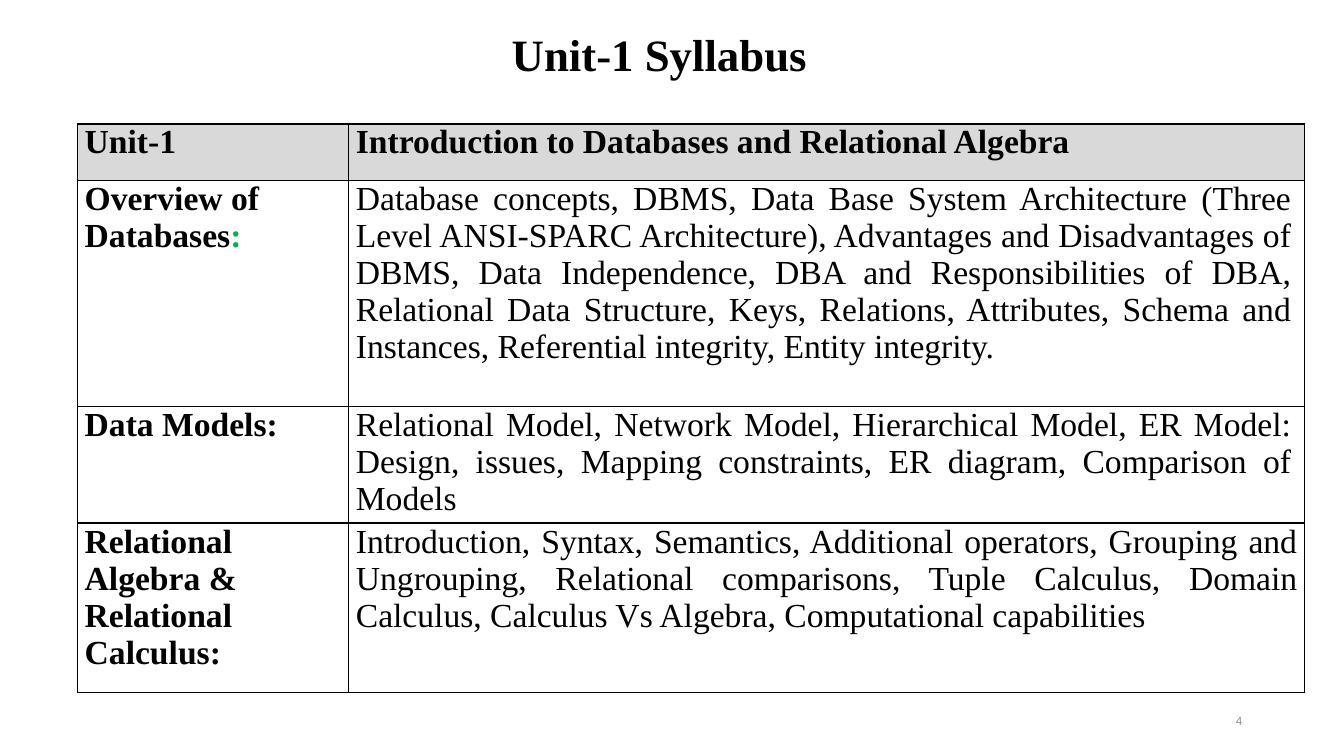
from lxml import etree
from pptx import Presentation
from pptx.dml.color import RGBColor as RGB
from pptx.enum.text import MSO_ANCHOR as Anchor, PP_ALIGN as Align
from pptx.oxml import parse_xml
from pptx.util import Inches, Pt

TITLE = "Unit-1 Syllabus"
PAGE = "4"
ROWS = [
    ("Unit-1", "Introduction to Databases and Relational Algebra"),
    ("Overview of Databases:",
     "Database concepts, DBMS, Data Base System Architecture (Three Level "
     "ANSI-SPARC Architecture), Advantages and Disadvantages of DBMS, Data "
     "Independence, DBA and Responsibilities of DBA, Relational Data Structure, "
     "Keys, Relations, Attributes, Schema and Instances, Referential integrity, "
     "Entity integrity."),
    ("Data Models:",
     "Relational Model, Network Model, Hierarchical Model, ER Model: Design, "
     "issues, Mapping constraints, ER diagram, Comparison of Models"),
    ("Relational Algebra & Relational Calculus:",
     "Introduction, Syntax, Semantics, Additional operators, Grouping and "
     "Ungrouping, Relational comparisons, Tuple Calculus, Domain Calculus, "
     "Calculus Vs Algebra, Computational capabilities"),
]
WIDTHS = [2.69, 9.48]
HEIGHTS = [0.56, 2.24, 1.16, 1.68]
INSETS = [0.07, 0.13, 0.13, 0.07]
COLORS = {"ink": "000000", "head": "D9D9D9", "mark": "00B050", "page": "8C8C8C"}
SERIF = "Times New Roman"
NS = "http://schemas.openxmlformats.org/drawingml/2006/main"


def color(name):
    return RGB.from_string(COLORS[name])


def style(para, size, face, ink, bold, align):
    para.alignment = align
    font = para.font
    font.size, font.name, font.bold = Pt(size), face, bold
    font.color.rgb = color(ink)


def border(cell):
    props = cell._tc.get_or_add_tcPr()
    for spot, side in enumerate(("lnL", "lnR", "lnT", "lnB")):
        line = parse_xml(
            f'<a:{side} xmlns:a="{NS}" w="{Pt(1)}"><a:solidFill>'
            f'<a:srgbClr val="{COLORS["ink"]}"/></a:solidFill></a:{side}>')
        props.insert(spot, line)


def fill_cell(cell, text, row, col):
    cell.margin_left = Inches(0.07)
    cell.margin_right = Inches(INSETS[row] if col else 0.07)
    cell.margin_top = cell.margin_bottom = 0
    if row:
        cell.fill.background()
    else:
        cell.fill.solid()
        cell.fill.fore_color.rgb = color("head")
    border(cell)
    para = cell.text_frame.paragraphs[0]
    align = Align.JUSTIFY if col or not row else Align.LEFT
    style(para, 24, SERIF, "ink", not (row and col), align)
    if row == 1 and col == 0:
        para.add_run().text = text[:-1]
        mark = para.add_run()
        mark.text = text[-1]
        mark.font.color.rgb = color("mark")
    else:
        para.add_run().text = text


def main():
    deck = Presentation()
    deck.slide_width, deck.slide_height = Inches(13.33), Inches(7.5)
    slide = deck.slides.add_slide(deck.slide_layouts[5])

    title = slide.shapes.title
    title.left, title.top = Inches(0.79), Inches(0.1)
    title.width, title.height = Inches(11.5), Inches(0.94)
    title.text_frame.text = TITLE
    title.text_frame.vertical_anchor = Anchor.MIDDLE
    para = title.text_frame.paragraphs[0]
    para.line_spacing = 0.9
    style(para, 32, SERIF, "ink", True, Align.CENTER)

    frame = slide.shapes.add_table(
        len(ROWS), len(WIDTHS), Inches(0.77), Inches(1.23),
        Inches(sum(WIDTHS)), Inches(sum(HEIGHTS)))
    table = frame.table
    for col, width in zip(table.columns, WIDTHS):
        col.width = Inches(width)
    for row, height in zip(table.rows, HEIGHTS):
        row.height = Inches(height)
    for r, texts in enumerate(ROWS):
        for c, text in enumerate(texts):
            fill_cell(table.cell(r, c), text, r, c)

    page = slide.shapes.add_textbox(
        Inches(9.42), Inches(6.95), Inches(3), Inches(0.4)).text_frame
    page.word_wrap = True
    page.vertical_anchor = Anchor.MIDDLE
    page.text = PAGE
    style(page.paragraphs[0], 9, "Calibri", "page", False, Align.RIGHT)

    deck.save("out.pptx")


if __name__ == "__main__":
    main()
